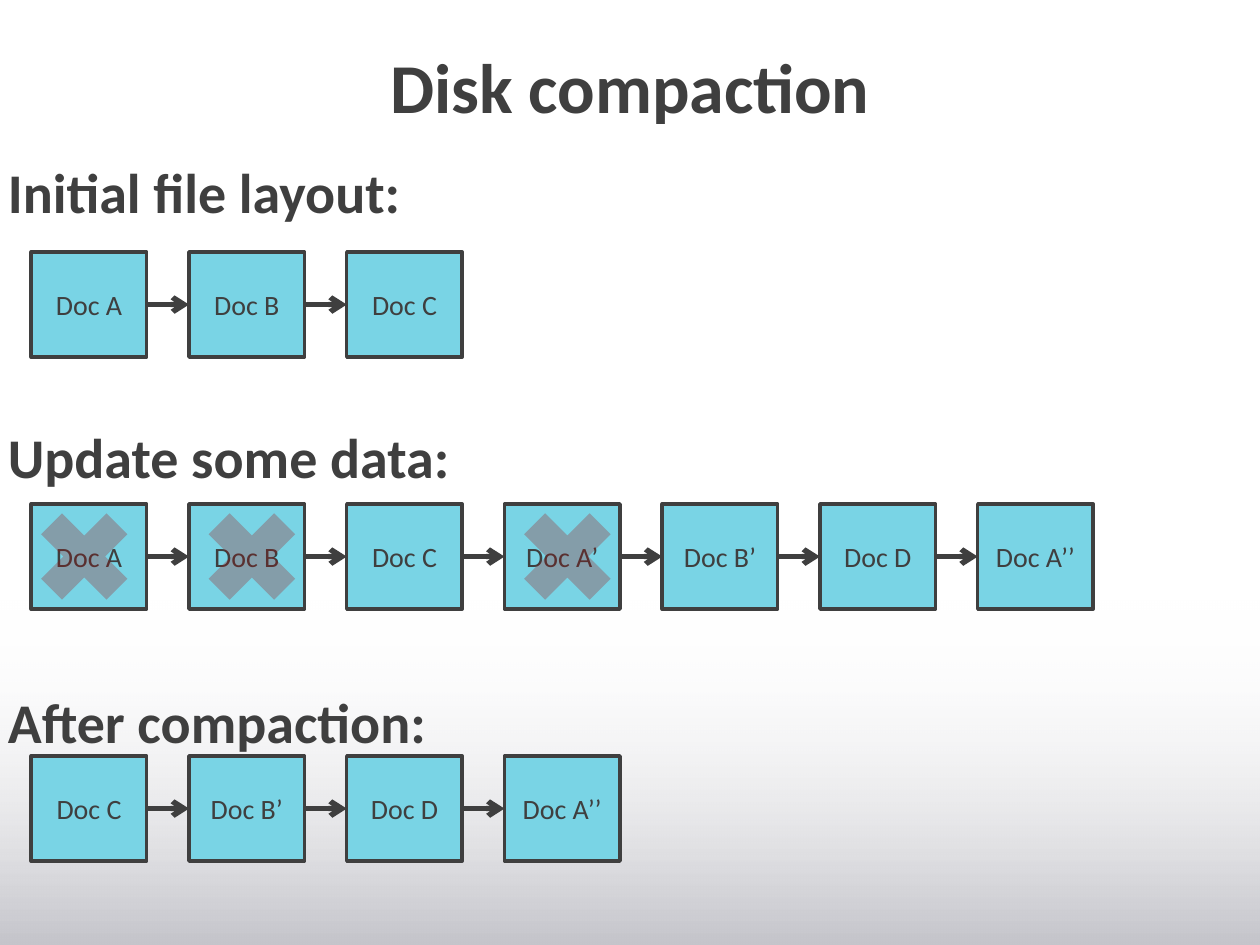
from lxml import etree
from pptx import Presentation
from pptx.dml.color import RGBColor
from pptx.enum.shapes import MSO_CONNECTOR, MSO_SHAPE
from pptx.enum.text import MSO_ANCHOR, PP_ALIGN
from pptx.oxml.ns import qn
from pptx.util import Cm, Pt

RECT, CROSS = MSO_SHAPE.RECTANGLE, MSO_SHAPE.MATH_MULTIPLY
LINE = MSO_CONNECTOR.STRAIGHT
LEFT, MID = PP_ALIGN.LEFT, PP_ALIGN.CENTER
TOP, CENTER = MSO_ANCHOR.TOP, MSO_ANCHOR.MIDDLE

COLORS = {name: RGBColor.from_string(code) for name, code in {
    "ink": "3F3F3F", "box": "79D4E5", "cross": "A30A0A",
    "gray": "C5C5CB", "white": "FFFFFF"}.items()}
FONTS = {
    "title": {"name": "Calibri", "size": Pt(40), "bold": True},
    "head": {"name": "Calibri", "size": Pt(32), "bold": True},
    "doc": {"name": "Calibri", "size": Pt(16), "bold": False},
}
FLAT = {"margin_left": 0, "margin_right": 0, "margin_top": 0,
        "margin_bottom": 0, "word_wrap": True}


def write(shape, text, style, align, anchor):
    frame = shape.text_frame
    for key, value in {**FLAT, "vertical_anchor": anchor}.items():
        setattr(frame, key, value)
    para = frame.paragraphs[0]
    para.alignment = align
    run = para.add_run()
    run.text = text
    for key, value in FONTS[style].items():
        setattr(run.font, key, value)
    run.font.color.rgb = COLORS["ink"]
    return para


def fade(part, percent):
    color = next(part.iter(qn("a:srgbClr")))
    etree.SubElement(color, qn("a:alpha"), val=str(percent * 1000))


deck = Presentation()
deck.slide_width, deck.slide_height = Cm(25.4), Cm(19.05)
slide = deck.slides.add_slide(deck.slide_layouts[6])
shapes = slide.shapes

# Shade at the foot, gray fading upwards
shade = shapes.add_shape(RECT, 0, Cm(12.06), Cm(25.4), Cm(6.99))
shade.shadow.inherit = False
shade.line.fill.background()
shade.fill.gradient()
shade.fill.gradient_angle = 90
for stop, name, place in zip(shade.fill.gradient_stops, ("gray", "white"), (0, 1)):
    stop.color.rgb = COLORS[name]
    stop.position = place
fade(list(shade.fill._xPr.iter(qn("a:gs")))[1], 0)

# Title
title = shapes.add_textbox(Cm(1.27), Cm(1.07), Cm(22.86), Cm(2.87))
write(title, "Disk compaction", "title", MID, TOP).line_spacing = 0.9

# Stages: heading, documents, positions of the stale ones
STAGES = [
    ("Initial file layout:", ["Doc A", "Doc B", "Doc C"], []),
    ("Update some data:", ["Doc A", "Doc B", "Doc C", "Doc A’", "Doc B’",
                           "Doc D", "Doc A’’"], [0, 1, 3]),
    ("After compaction:", ["Doc C", "Doc B’", "Doc D", "Doc A’’"], []),
]
START, STEP, WIDE, HIGH, SIDE = 0.63, 3.18, 2.33, 2.12, 2.54

for row, (text, docs, stale) in enumerate(STAGES):
    head = shapes.add_textbox(Cm(0.16), Cm(3.18 + 5.34 * row), Cm(24.8), Cm(1.4))
    write(head, text, "head", LEFT, TOP)
    y = 5.08 * (row + 1)

    for col, name in enumerate(docs):
        x = START + STEP * col
        box = shapes.add_shape(RECT, Cm(x), Cm(y), Cm(WIDE), Cm(HIGH))
        box.shadow.inherit = False
        box.fill.solid()
        box.fill.fore_color.rgb = COLORS["box"]
        box.line.color.rgb = COLORS["ink"]
        box.line.width = Pt(2)
        write(box, name, "doc", MID, CENTER)

        # Arrow from the box before
        if col:
            mid = Cm(y + HIGH / 2)
            arrow = shapes.add_connector(LINE, Cm(x - STEP + WIDE), mid, Cm(x), mid)
            arrow.line.color.rgb = COLORS["ink"]
            arrow.line.width = Pt(3)
            etree.SubElement(arrow.line._get_or_add_ln(), qn("a:tailEnd"), type="arrow")
            etree.SubElement(arrow._element.spPr, qn("a:effectLst"))

    # Crosses over stale documents, the first a little to the left
    for col in stale:
        x = START + STEP * col - (0 if col else 0.2)
        cross = shapes.add_shape(CROSS, Cm(x), Cm(y - 0.21), Cm(SIDE), Cm(SIDE))
        cross.shadow.inherit = False
        cross.line.fill.background()
        cross.fill.solid()
        cross.fill.fore_color.rgb = COLORS["cross"]
        fade(cross._element.spPr, 27)

deck.save("out.pptx")
